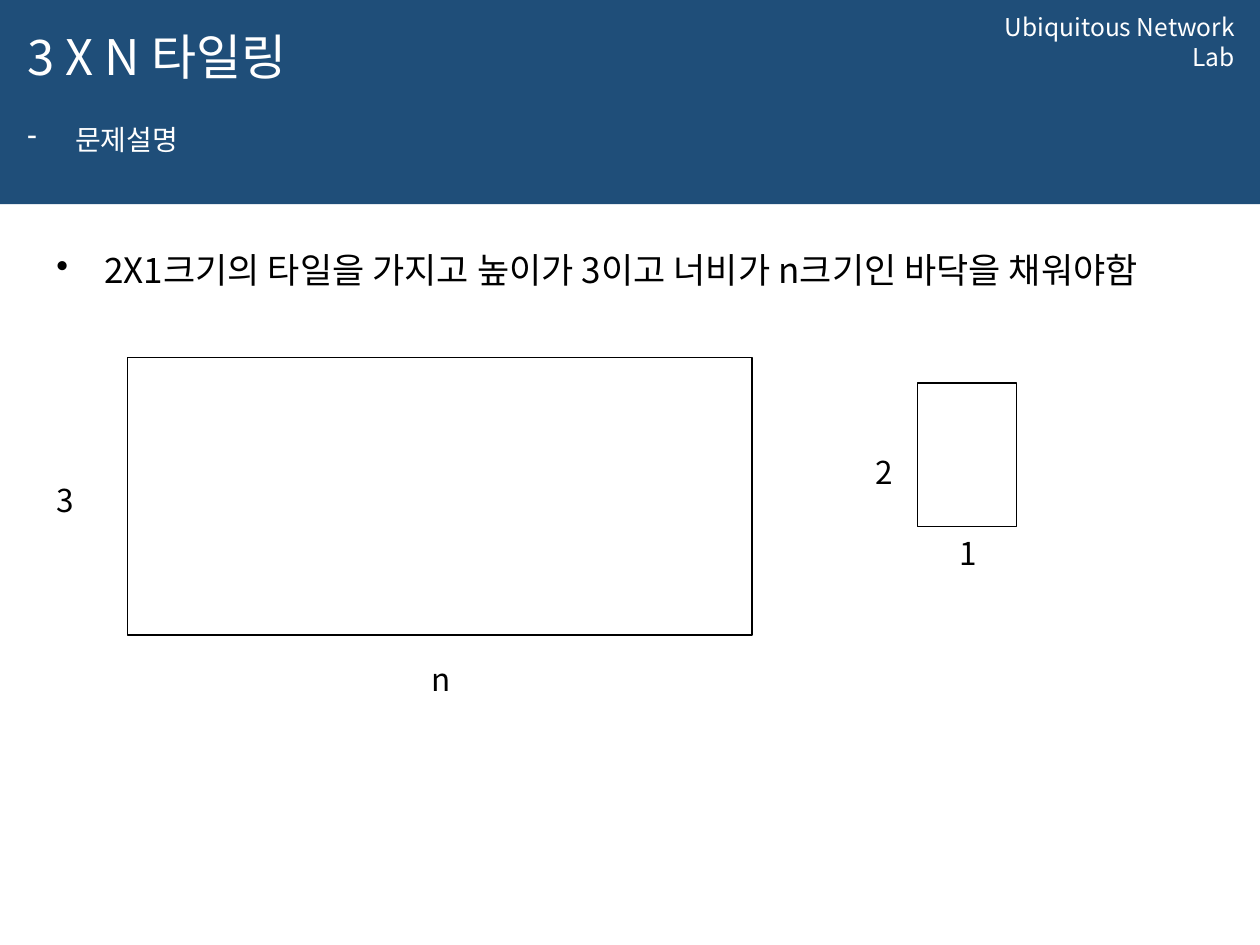
from lxml import etree
from pptx import Presentation
from pptx.dml.color import RGBColor
from pptx.enum.shapes import MSO_SHAPE
from pptx.enum.text import MSO_ANCHOR, PP_ALIGN
from pptx.oxml.ns import qn
from pptx.util import Inches, Pt

RECT = MSO_SHAPE.RECTANGLE
LEFT, RIGHT = PP_ALIGN.LEFT, PP_ALIGN.RIGHT
TOP, MIDDLE = MSO_ANCHOR.TOP, MSO_ANCHOR.MIDDLE
NAVY = RGBColor(0x1F, 0x4E, 0x79)
WHITE = RGBColor(0xFF, 0xFF, 0xFF)
BLACK = RGBColor(0, 0, 0)
FONT = "Noto Sans CJK KR"
TITLE_ONLY = 5
INDENT = Inches(0.38)


def write(shape, text, size=18, color=BLACK, align=LEFT, anchor=TOP, bullet=None, spacing=None):
    """Put one formatted paragraph into a shape."""
    frame = shape.text_frame
    frame.word_wrap = True
    frame.vertical_anchor = anchor
    para = frame.paragraphs[0]
    para.alignment = align
    run = para.add_run()
    run.text = text
    font = run.font
    font.size, font.name = Pt(size), FONT
    font.color.rgb = color
    etree.SubElement(font._element, qn("a:ea"), typeface=FONT)
    if spacing:
        para.line_spacing = spacing
    if bullet:
        para.space_before = Pt(size * 0.2)
        props = para._p.get_or_add_pPr()
        props.set("marL", str(INDENT))
        props.set("indent", str(-INDENT))
        etree.SubElement(props, qn("a:buChar"), char=bullet)


def add_text(slide, box, text, **style):
    """Add a text box at box, given in inches."""
    write(slide.shapes.add_textbox(*map(Inches, box)), text, **style)


def add_rect(slide, box, fill=None, line=None):
    """Add a plain rectangle at box, given in inches."""
    rect = slide.shapes.add_shape(RECT, *map(Inches, box))
    rect.shadow.inherit = False
    if fill is None:
        rect.fill.background()
    else:
        rect.fill.solid()
        rect.fill.fore_color.rgb = fill
    if line is None:
        rect.line.fill.background()
    else:
        rect.line.color.rgb = line
        rect.line.width = Pt(0.75)


def add_header(slide, box):
    """Draw the band with the title, subtitle and lab name."""
    left, top, width, _ = box
    add_rect(slide, box, fill=NAVY)
    add_text(slide, (left + width - 2.48, top + 0.05, 2.38, 0.34),
             "Ubiquitous Network Lab", size=14, color=WHITE, align=RIGHT)
    title = slide.shapes.title
    slide.shapes.element.append(title.element)
    title.left, title.top = Inches(left + 0.12), Inches(top + 0.13)
    title.width, title.height = Inches(7.4), Inches(0.63)
    write(title, "3 X N 타일링", size=28, color=WHITE, anchor=MIDDLE)
    add_text(slide, (left + 0.12, top + 0.92, 7.4, 0.55), "문제설명",
             size=16, color=WHITE, bullet="-")


def add_tile(slide, box, high, wide, side, below):
    """Draw an outlined tile with labels at side and below, offset from its corner."""
    left, top, _, _ = box
    add_rect(slide, box, line=BLACK)
    for text, (right, down) in ((high, side), (wide, below)):
        add_text(slide, (left + right, top + down, 0.71, 0.4), text)


def main():
    """Build and save the slide."""
    deck = Presentation()
    deck.slide_width, deck.slide_height = Inches(10), Inches(7.5)
    slide = deck.slides.add_slide(deck.slide_layouts[TITLE_ONLY])
    add_header(slide, (0, 0, 10, 1.62))
    add_text(slide, (0.35, 1.76, 8.83, 1.14),
             "2X1크기의 타일을 가지고 높이가 3이고 너비가 n크기인 바닥을 채워야함",
             size=20, bullet="•", spacing=1.5)
    add_tile(slide, (1.01, 2.84, 4.96, 2.2), "3", "n", (-0.66, 0.93), (2.32, 2.35))
    add_tile(slide, (7.28, 3.04, 0.79, 1.14), "2", "1", (-0.43, 0.51), (0.24, 1.15))
    deck.save("out.pptx")


if __name__ == "__main__":
    main()
